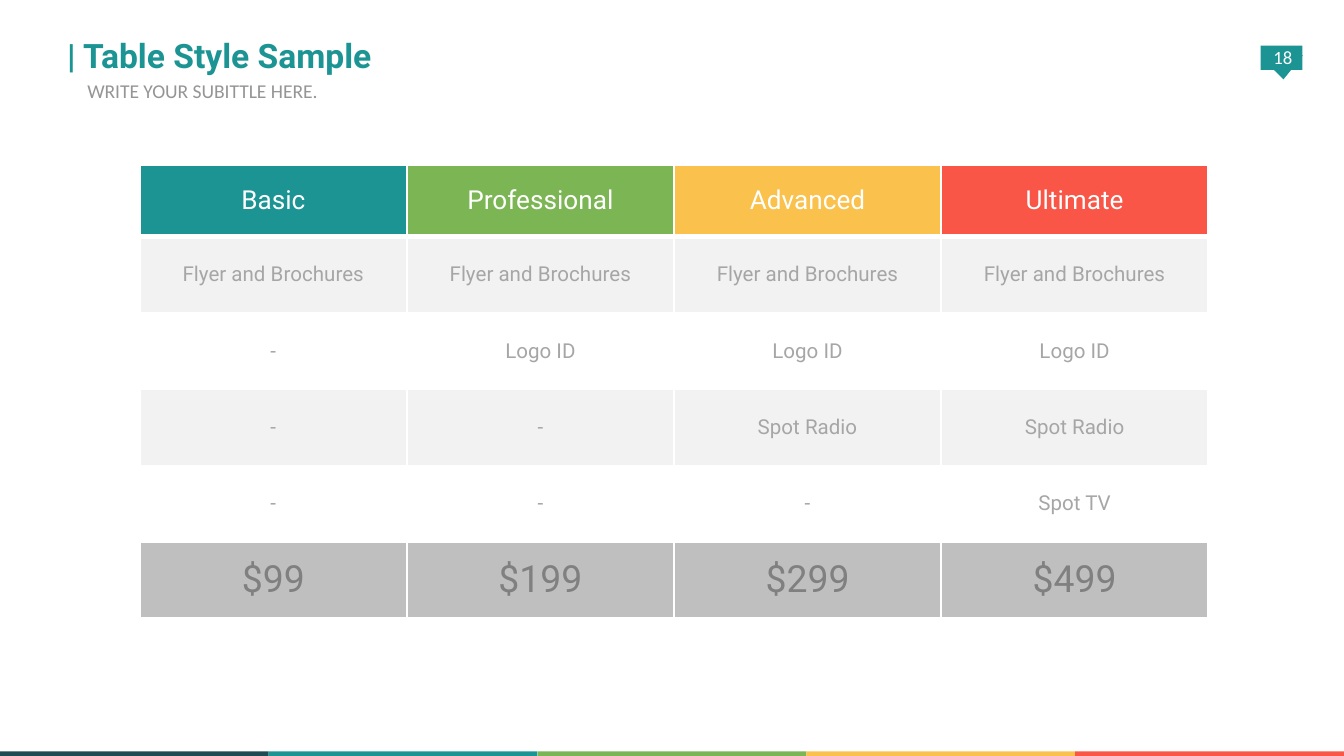
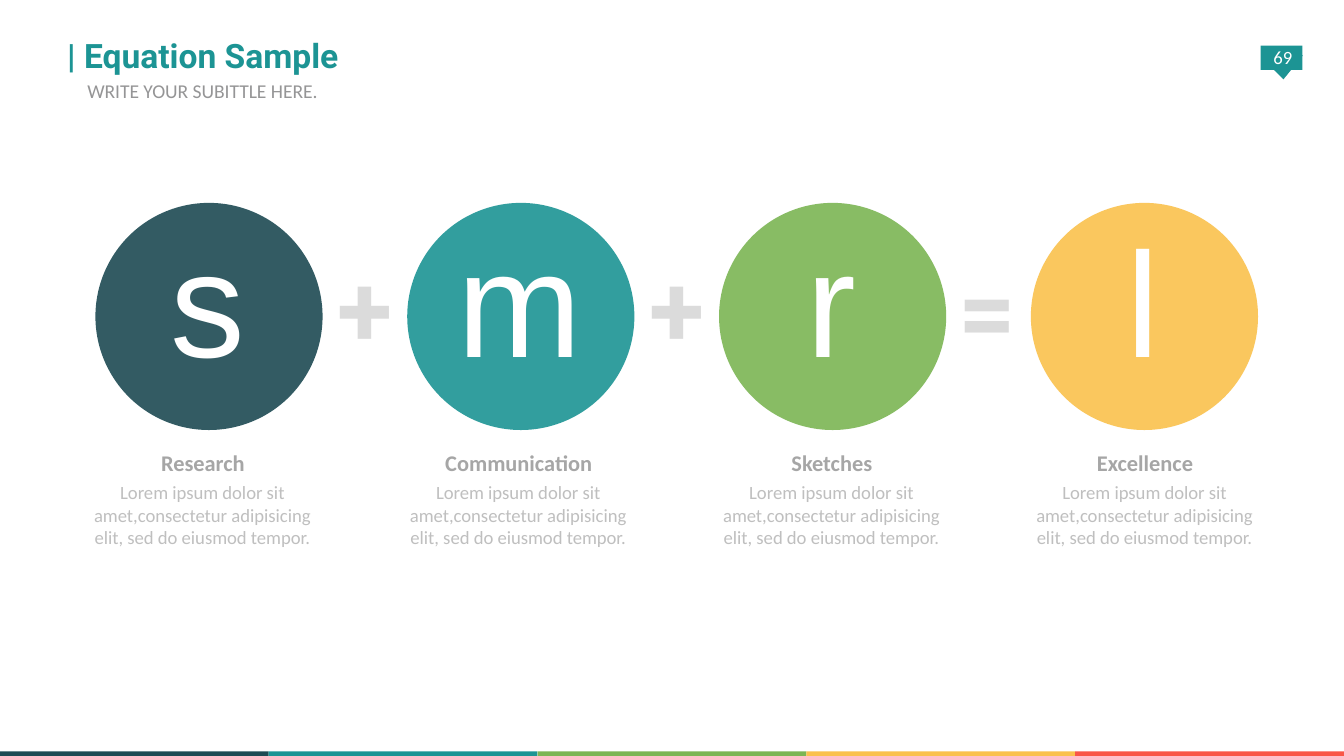
from lxml import etree
from pptx import Presentation
from pptx.dml.color import RGBColor
from pptx.enum.shapes import MSO_SHAPE as Preset
from pptx.enum.text import MSO_ANCHOR as Anchor, MSO_AUTO_SIZE as AutoSize, PP_ALIGN as Align
from pptx.oxml.ns import qn
from pptx.util import Inches, Pt

COLORS = {
    "navy": "1D4A53", "teal": "1C9494", "green": "7CB554", "yellow": "FAC14D",
    "red": "F95647", "white": "FFFFFF", "subtitle": "959596", "heading": "A6A6A6",
    "body": "BFBFBF", "operator": "DBDBDB", "stripe": "F2F2F2", "price": "808080",
}
BAND = ["navy", "teal", "green", "yellow", "red"]
CAPTION_INSETS = (0, 0.05, 0, 0)
DEFAULT_INSETS = (0.1, 0.05, 0.1, 0.05)

PLANS = ["Basic", "Professional", "Advanced", "Ultimate"]
FEATURES = ["Flyer and Brochures", "Logo ID", "Spot Radio", "Spot TV"]
PRICES = ["$99", "$199", "$299", "$499"]

# letter, heading, left edge of the heading
TERMS = [("s", "Research", 0.52), ("m", "Communication", 2.87),
         ("r", "Sketches", 5.2), ("l", "Excellence", 7.53)]
# sign, left, top
OPERATORS = [("+", 2.26, 1.78), ("+", 4.58, 1.78), ("=", 6.89, 1.79)]
TERM_TEXT = "Lorem ipsum dolor sit amet,consectetur adipisicing elit, sed do eiusmod tempor."


def rgb(color):
    return RGBColor.from_string(COLORS[color])


def write(frame, text, size, color, font="Calibri", bold=False, align=Align.CENTER):
    paragraph = frame.paragraphs[0]
    paragraph.alignment = align
    run = paragraph.add_run()
    run.text = text
    run.font.name = font
    run.font.size = Pt(size)
    run.font.bold = bold
    run.font.color.rgb = rgb(color)


def add_text(slide, box, text, insets=DEFAULT_INSETS, anchor=Anchor.TOP, grow=False, **style):
    """Add a text box; box is left, top, width, height and insets run left, top, right, bottom."""
    frame = slide.shapes.add_textbox(*map(Inches, box)).text_frame
    frame.word_wrap = True
    frame.auto_size = AutoSize.SHAPE_TO_FIT_TEXT if grow else AutoSize.NONE
    frame.vertical_anchor = anchor
    (frame.margin_left, frame.margin_top,
     frame.margin_right, frame.margin_bottom) = map(Inches, insets)
    write(frame, text, **style)


def add_block(slide, preset, box, color, opacity=100, rotation=0):
    block = slide.shapes.add_shape(preset, *map(Inches, box))
    block.shadow.inherit = False
    block.rotation = rotation
    block.fill.solid()
    block.fill.fore_color.rgb = rgb(color)
    block.line.fill.background()
    if opacity < 100:
        shade = block.fill._xPr.find(qn("a:solidFill"))[0]
        etree.SubElement(shade, qn("a:alpha"), val=str(opacity * 1000))


def add_base_slide(deck, title, number):
    """Add a slide with the bottom band, page badge, title and subtitle."""
    slide = deck.slides.add_slide(deck.slide_layouts[6])
    for i, color in enumerate(BAND):
        add_block(slide, Preset.RECTANGLE, (2 * i, 5.59, 2, 0.08), color)
    add_block(slide, Preset.RECTANGLE, (9.38, 0.34, 0.31, 0.18), "teal")
    add_block(slide, Preset.ISOSCELES_TRIANGLE, (9.39, 0.42, 0.31, 0.17), "teal", rotation=176.8)
    add_text(slide, (9.4, 0.3, 0.29, 0.3), number, insets=(0, 0, 0, 0.05),
             anchor=Anchor.MIDDLE, size=10, color="white")
    add_text(slide, (0.5, 0.26, 7.51, 0.4), f"| {title}", insets=(0, 0, 0.1, 0),
             size=18, color="teal", font="Roboto", bold=True, align=Align.LEFT)
    add_text(slide, (0.65, 0.59, 7.34, 0.29), "WRITE YOUR SUBITTLE HERE.",
             insets=(0, 0, 0.1, 0), size=10.5, color="subtitle", align=Align.LEFT)
    return slide


def set_header_borders(cell):
    properties = cell._tc.get_or_add_tcPr()
    widths = {"lnL": 1, "lnR": 1, "lnT": 1, "lnB": 3}
    for position, (side, width) in enumerate(widths.items()):
        line = etree.Element(qn(f"a:{side}"), w=str(Pt(width)))
        fill = etree.SubElement(line, qn("a:solidFill"))
        etree.SubElement(fill, qn("a:srgbClr"), val=COLORS["white"])
        properties.insert(position, line)


def fill_cell(cell, text, fill, size, color):
    cell.vertical_anchor = Anchor.MIDDLE
    cell.fill.solid()
    cell.fill.fore_color.rgb = rgb(fill)
    write(cell.text_frame, text, size, color, font="Roboto")


def add_pricing_table(slide):
    row_count = len(FEATURES) + 2
    height, header_height = Inches(3.37), Inches(0.53)
    frame = slide.shapes.add_table(row_count, len(PLANS), Inches(1.04), Inches(1.23),
                                   Inches(7.95), height)
    pricing = frame.table
    pricing.first_row = pricing.horz_banding = False
    for i, row in enumerate(pricing.rows):
        row.height = (height - header_height) // (row_count - 1) if i else header_height
    for column, (plan, color, price) in enumerate(zip(PLANS, BAND[1:], PRICES)):
        header = pricing.cell(0, column)
        fill_cell(header, plan, color, 14, "white")
        set_header_borders(header)
        for i, feature in enumerate(FEATURES):
            fill_cell(pricing.cell(i + 1, column), feature if i <= column else "-",
                      "white" if i % 2 else "stripe", 11, "heading")
        fill_cell(pricing.cell(row_count - 1, column), price, "body", 20, "price")


def add_term(slide, i, letter, heading, caption_left):
    """Add the i-th circle of the equation with its letter and caption."""
    circle_left = 0.71 + 2.32 * i
    add_block(slide, Preset.OVAL, (circle_left, 1.51, 1.69, 1.69), BAND[i], opacity=90)
    add_text(slide, (circle_left + 0.2, 1.5, 1.27, 1.45), letter, grow=True,
             size=80, color="white", font="Arial")
    add_text(slide, (caption_left, 3.29, 1.98, 0.25), heading, insets=CAPTION_INSETS,
             grow=True, size=12, color="heading", bold=True)
    add_text(slide, (caption_left + 0.14, 3.53, 1.69, 0.56), TERM_TEXT,
             insets=CAPTION_INSETS, grow=True, size=10, color="body")


def add_equation(slide):
    for i, term in enumerate(TERMS):
        add_term(slide, i, *term)
    for sign, left, top in OPERATORS:
        add_text(slide, (left, top, 0.91, 1.01), sign, grow=True,
                 size=54, color="operator", font="Roboto", bold=True)


def main():
    deck = Presentation()
    deck.slide_width = Inches(10)
    deck.slide_height = deck.slide_width * 9 // 16
    add_pricing_table(add_base_slide(deck, "Table Style Sample", "18"))
    add_equation(add_base_slide(deck, "Equation Sample", "69"))
    deck.save("out.pptx")


if __name__ == "__main__":
    main()
